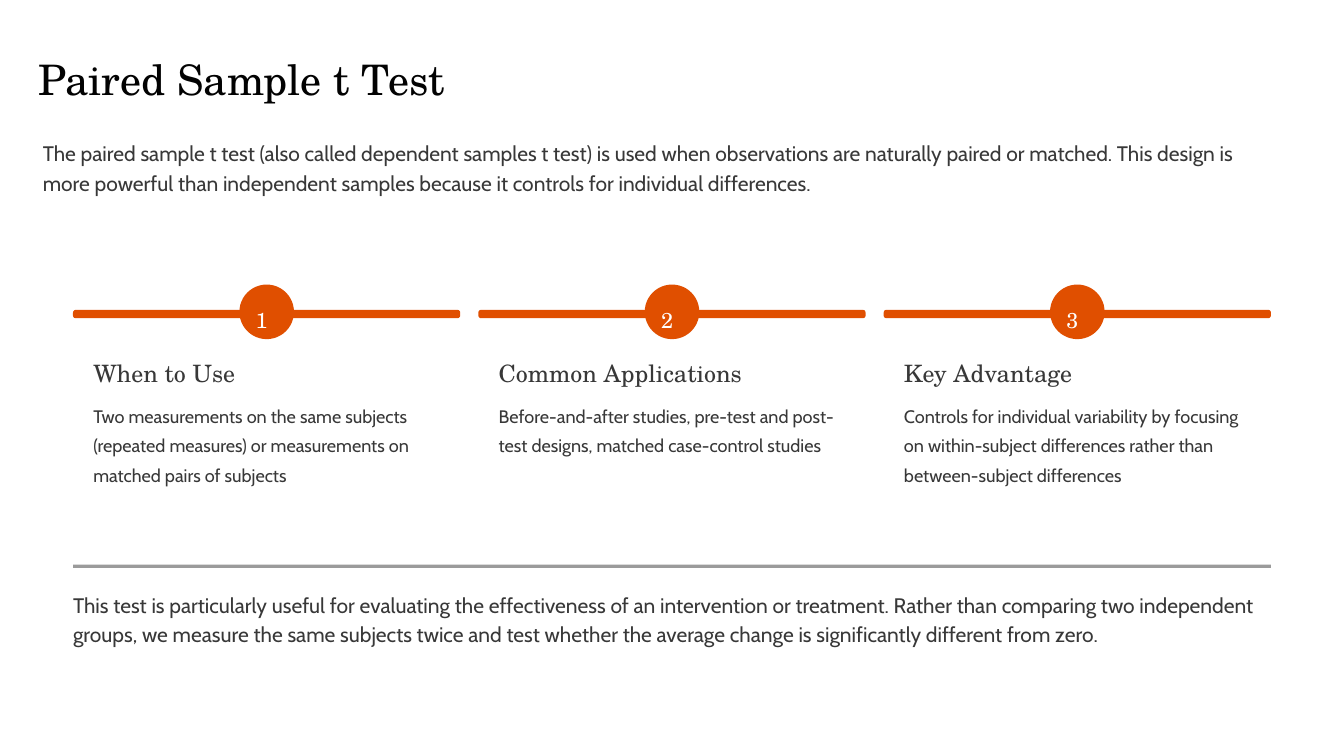
import pptx
import pptx.util
import pptx.dml.color
import pptx.enum.shapes
import pptx.oxml
import pptx.oxml.ns
from dataclasses import dataclass

Pt = pptx.util.Pt
RGB = pptx.dml.color.RGBColor
MSO_SHAPE = pptx.enum.shapes.MSO_SHAPE


@dataclass(frozen=True)
class Theme:
    serif: str = "TeX Gyre Schola"
    sans: str = "Cabin"
    white: str = "FFFFFF"
    title_ink: str = "020202"
    ink: str = "383838"
    accent: str = "E04F00"
    title: float = 36
    heading: float = 20.5
    number: float = 18.5
    lead: float = 18
    body: float = 15.5


theme = Theme()


def add_text(box, text, font, size, color, spacing):
    tb = slide.shapes.add_textbox(*map(Pt, box))
    tf = tb.text_frame
    tf.margin_left = tf.margin_top = tf.margin_right = tf.margin_bottom = 0
    tf.word_wrap = True
    p = tf.paragraphs[0]
    p.text = text
    p.line_spacing = Pt(spacing)
    p.font.name = font
    p.font.size = Pt(size)
    p.font.color.rgb = RGB.from_string(color)


def add_block(kind, box, color):
    sp = slide.shapes.add_shape(kind, *map(Pt, box))
    sp.shadow.inherit = False
    sp.fill.solid()
    sp.fill.fore_color.rgb = RGB.from_string(color)
    sp.line.fill.background()
    return sp


prs = pptx.Presentation()
prs.slide_width, prs.slide_height = Pt(1152), Pt(648)
slide = prs.slides.add_slide(prs.slide_layouts[6])
slide.background.fill.solid()
slide.background.fill.fore_color.rgb = RGB.from_string(theme.white)

# Title and introduction
add_text((32.8, 38.2, 410.4, 51), "Paired Sample t Test",
         theme.serif, theme.title, theme.title_ink, 51)
add_text((36.7, 117.4, 1026.7, 50),
         "The paired sample t test (also called dependent samples t test) is used when "
         "observations are naturally paired or matched. This design is more powerful than "
         "independent samples because it controls for individual differences.",
         theme.sans, theme.lead, theme.ink, 25)

# Three numbered columns
left, total_width, gap = 62.6, 1026.8, 15.5
steps = [
    ("When to Use",
     "Two measurements on the same subjects (repeated measures) or measurements on "
     "matched pairs of subjects"),
    ("Common Applications",
     "Before-and-after studies, pre-test and post-test designs, matched case-control studies"),
    ("Key Advantage",
     "Controls for individual variability by focusing on within-subject differences rather "
     "than between-subject differences"),
]
width = (total_width - gap * (len(steps) - 1)) / len(steps)
badge, inset = 46.8, 17.4
text_width = width - 2 * inset
for i, (heading, body) in enumerate(steps):
    x = left + i * (width + gap)
    center = x + width / 2
    bar = add_block(MSO_SHAPE.ROUNDED_RECTANGLE, (x, 265.6, width, 7.2), theme.accent)
    bar.adjustments[0] = 0.33
    add_block(MSO_SHAPE.OVAL, (center - badge / 2, 243.9, badge, badge), theme.accent)
    add_text((center - 9.4, 255.6, 18.8, 23.8), str(i + 1),
             theme.serif, theme.number, theme.white, 30)
    add_text((x + inset, 306.4, text_width, 25.9), heading,
             theme.serif, theme.heading, theme.ink, 25.5)
    add_text((x + inset, 341.3, text_width, 75), body,
             theme.sans, theme.body, theme.ink, 25)

# Divider at half opacity
divider = add_block(MSO_SHAPE.RECTANGLE, (left, 483.9, total_width, 2.9), theme.ink)
clr = divider.element.spPr.find(".//" + pptx.oxml.ns.qn("a:srgbClr"))
clr.append(pptx.oxml.parse_xml(
    '<a:alpha xmlns:a="http://schemas.openxmlformats.org/drawingml/2006/main" val="50000"/>'))

# Closing remark
add_text((left, 504.4, total_width, 50),
         "This test is particularly useful for evaluating the effectiveness of an intervention "
         "or treatment. Rather than comparing two independent groups, we measure the same "
         "subjects twice and test whether the average change is significantly different from zero.",
         theme.sans, theme.lead, theme.ink, 25)

prs.save("out.pptx")
